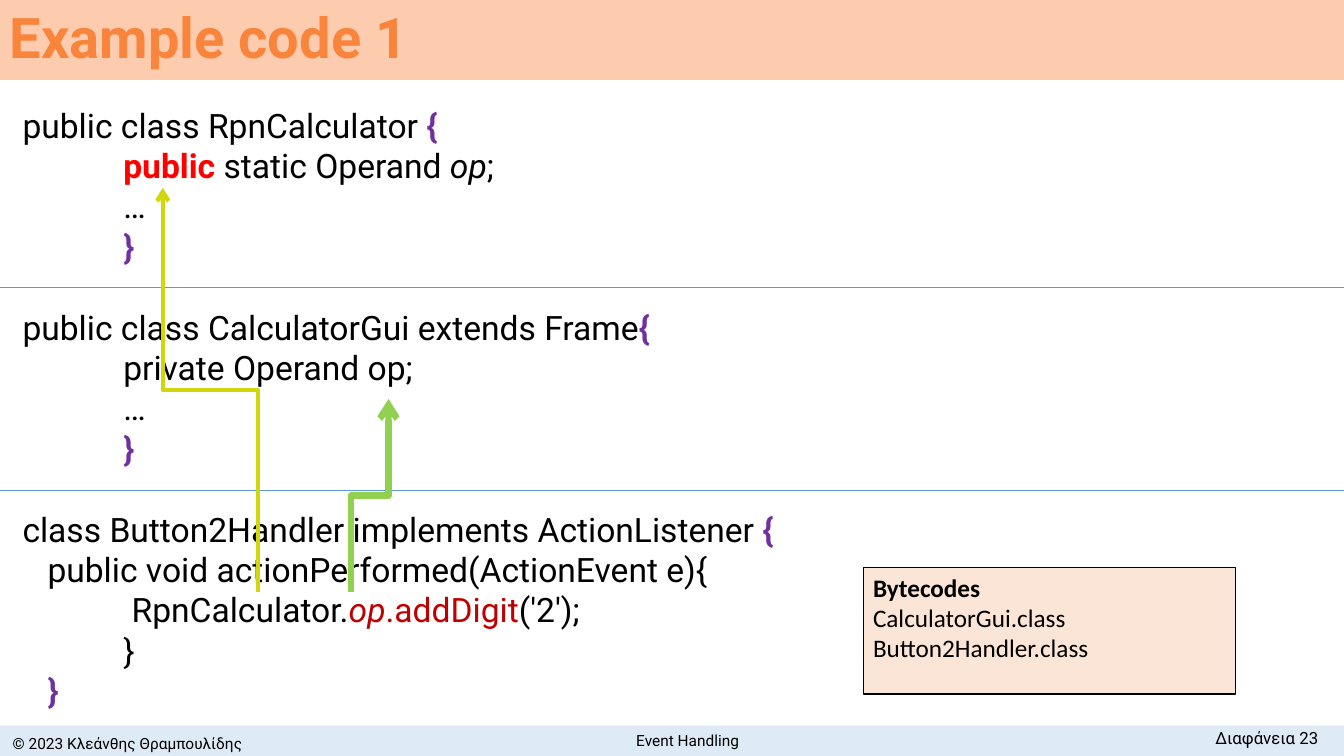
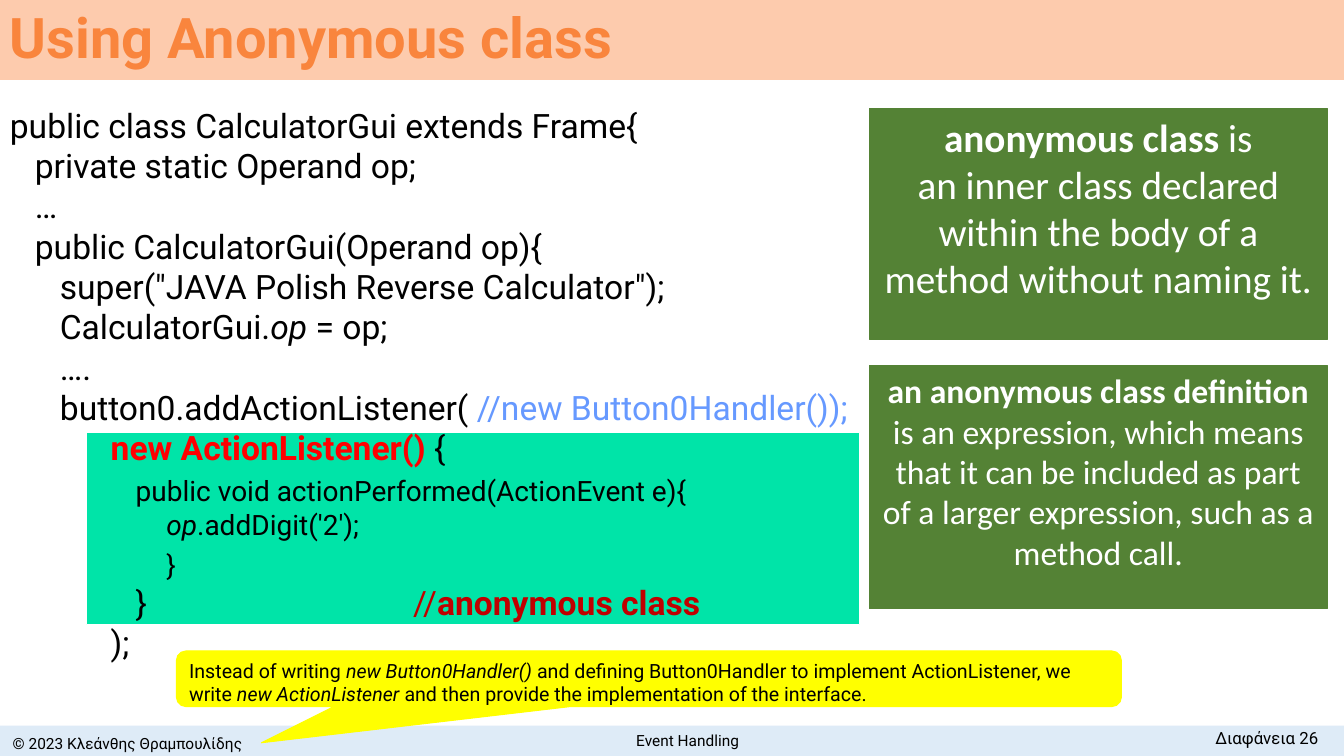
from lxml.etree import SubElement
from pptx import Presentation
from pptx.dml.color import RGBColor
from pptx.enum.shapes import MSO_CONNECTOR as LINK, MSO_SHAPE as SHAPE
from pptx.enum.text import MSO_ANCHOR as ANCHOR, PP_ALIGN as ALIGN
from pptx.oxml.ns import qn
from pptx.util import Pt

PX = 9525
WIDTH, HEIGHT = 1280, 720
COLORS = {
    "black": "000000", "white": "FFFFFF", "title": "F9853D",
    "title_band": "FDCBAD", "footer_band": "DEEBF7", "brace": "7030A0",
    "keyword": "FF0000", "accent": "C00000", "comment": "6699FF",
    "divider": "5B9BD5", "olive": "D2D70D", "lime": "92D050",
    "note": "FBE5D6", "highlight": "00E4A8", "callout": "FFFF00",
    "definition": "548235",
}
BRACE = dict(color="brace", bold=True)
KEYWORD = dict(color="keyword", bold=True)
ITALIC = dict(italic=True)
BOLD = dict(bold=True)
SMALL = dict(size=20)


def emu(*lengths):
    """Turn lengths in px into EMU."""
    return [round(length * PX) for length in lengths]


def rgb(name):
    """Look up a named colour."""
    return RGBColor.from_string(COLORS[name])


def add_span(para, text, size=24, font="Roboto", color="black", bold=False, italic=False):
    """Append formatted text to a paragraph."""
    span = para.add_run()
    span.text = text
    span.font.size = Pt(size)
    span.font.name = font
    span.font.color.rgb = rgb(color)
    span.font.bold = bold
    span.font.italic = italic


def write(shape, *blocks, align=ALIGN.LEFT, anchor=ANCHOR.TOP, spacing=None,
          gap=29, tabs=(), **style):
    """Fill a shape with blocks of lines, parted by a gap in points."""
    frame = shape.text_frame
    frame.word_wrap = True
    frame.vertical_anchor = anchor
    para = None
    for block in blocks:
        for index, line in enumerate(block):
            first = para is None
            para = frame.paragraphs[0] if first else frame.add_paragraph()
            para.alignment = align
            if spacing:
                para.line_spacing = spacing
            if index == 0 and not first:
                para.space_before = Pt(gap)
            if tabs:
                stops = SubElement(para._p.get_or_add_pPr(), qn("a:tabLst"))
                for stop in tabs:
                    SubElement(stops, qn("a:tab"), pos=str(stop * PX), algn="l")
            for part in [line] if isinstance(line, str) else line:
                text, extra = (part, {}) if isinstance(part, str) else part
                add_span(para, text, **{**style, **extra})


def add_panel(page, area, fill, line=None, kind=SHAPE.RECTANGLE):
    """Draw a flat filled shape."""
    panel = page.shapes.add_shape(kind, *emu(*area))
    panel.shadow.inherit = False
    panel.fill.solid()
    panel.fill.fore_color.rgb = rgb(fill)
    if line:
        panel.line.color.rgb = rgb(line)
        panel.line.width = Pt(0.75)
    else:
        panel.line.fill.background()
    return panel


def add_text(page, area, *blocks, **style):
    """Place a text box."""
    write(page.shapes.add_textbox(*emu(*area)), *blocks, **style)


def add_line(page, kind, ends, color, weight):
    """Draw a flat connector."""
    line = page.shapes.add_connector(kind, *emu(*ends))
    line.line.color.rgb = rgb(color)
    line.line.width = Pt(weight)
    SubElement(line._element.spPr, qn("a:effectLst"))
    return line


def add_rising_arrow(page, start, end, color, weight):
    """Draw an elbow arrow that leaves and arrives vertically."""
    (x1, y1), (x2, y2) = start, end
    mid_x, mid_y = (x1 + x2) / 2, (y1 + y2) / 2
    rise, shift = (y1 - y2) / 2, (x2 - x1) / 2
    ends = (mid_x - rise, mid_y - shift, mid_x + rise, mid_y + shift)
    arrow = add_line(page, LINK.ELBOW, ends, color, weight)
    arrow._element.spPr.find(qn("a:xfrm")).set("rot", str(270 * 60000))
    SubElement(arrow.line._get_or_add_ln(), qn("a:tailEnd"), type="arrow")


def add_title(page, area, title):
    """Draw the title band."""
    write(add_panel(page, area, "title_band"), [title], anchor=ANCHOR.MIDDLE,
          spacing=0.9, size=40, color="title", bold=True)


def add_footer(page, area, number):
    """Draw the footer band with its three texts."""
    x, y, width, height = area
    add_panel(page, area, "footer_band")
    middle = dict(align=ALIGN.CENTER, anchor=ANCHOR.MIDDLE, size=11)
    add_text(page, (x, y + 2, 243, height), ["© 2023 Κλεάνθης Θραμπουλίδης"], **middle)
    add_text(page, (x + 334, y, 642, height), ["Event Handling"], **middle)
    add_text(page, (x + width - 213, y - 3, 198, height), [f"Διαφάνεια {number}"],
             align=ALIGN.RIGHT, size=12)


def add_page(deck, title, number):
    """Add a blank slide with title and footer."""
    page = deck.slides.add_slide(deck.slide_layouts[6])
    add_title(page, (0, 0, WIDTH, 76), title)
    add_footer(page, (0, 691, WIDTH, 29), number)
    return page


def add_classes(page, area):
    """Write the three classes, part them and link the uses of op."""
    x, y, _, _ = area
    add_text(
        page, area,
        [["public class RpnCalculator ", ("{", BRACE)],
         ["\t", ("public ", KEYWORD), "static Operand ", ("op", ITALIC), ";"],
         "\t…",
         ["\t", ("}", BRACE)]],
        [["public class CalculatorGui extends Frame", ("{", BRACE)],
         "\tprivate Operand op;",
         "\t…",
         ["\t", ("}", BRACE)]],
        [["class Button2Handler implements ActionListener ", ("{", BRACE)],
         "   public void actionPerformed(ActionEvent e){",
         ["\t RpnCalculator.", ("op", dict(color="accent", italic=True)),
          (".addDigit", dict(color="accent")), "('2');"],
         "\t}",
         ["   ", ("}", BRACE)]],
        tabs=(96,))
    for offset in (179, 372):
        add_line(page, LINK.STRAIGHT, (0, y + offset, WIDTH, y + offset), "divider", 0.5)
    add_rising_arrow(page, (x + 234, y + 469), (x + 143, y + 84), "olive", 3)
    add_rising_arrow(page, (x + 322, y + 469), (x + 358, y + 285), "lime", 4.5)


def add_bytecodes(page, area):
    """Draw the list of compiled files."""
    write(add_panel(page, area, "note", "black"),
          [[("Bytecodes", BOLD)], "CalculatorGui.class", "Button2Handler.class"],
          size=18, font="Calibri")


def add_anonymous_code(page, area):
    """Write the code over the highlighted anonymous class."""
    x, y, _, _ = area
    add_panel(page, (x + 82, y + 317, 737, 183), "highlight", "white")
    add_text(
        page, area,
        ["public class CalculatorGui extends Frame{",
         "   private static Operand op;",
         "   …",
         "   public CalculatorGui(Operand op){",
         "      super(\"JAVA Polish Reverse Calculator\");",
         ["      CalculatorGui.", ("op", ITALIC), " = op;"],
         "      ….",
         ["      button0.addActionListener( ",
          ("//new Button0Handler());", dict(color="comment"))],
         ["\t", ("new ActionListener() ", KEYWORD), "{"],
         ["\t   ", ("public void actionPerformed(ActionEvent e){", SMALL)],
         [("\t        ", SMALL), ("op", dict(size=20, italic=True)),
          (".addDigit('2');", SMALL)],
         ["\t", ("        }", SMALL)],
         ["\t   }\t", ("//", dict(color="accent")),
          ("anonymous class", dict(color="accent", bold=True))],
         "\t);"],
        tabs=(96, 384))


def add_definition(page, area, lines, size):
    """Draw a green definition panel."""
    write(add_panel(page, area, "definition", "definition"), lines,
          align=ALIGN.CENTER, size=size, font="Calibri", color="white")


def add_callout(page, area):
    """Draw the explaining callout."""
    callout = add_panel(page, area, "callout", "callout", SHAPE.ROUNDED_RECTANGULAR_CALLOUT)
    for index, value in enumerate((-0.41, 1.15, 0.17)):
        callout.adjustments[index] = value
    write(callout,
          [["Instead of writing ", ("new Button0Handler() ", ITALIC),
            "and defining Button0Handler to implement ActionListener, we"],
           ["write ", ("new ActionListener ", ITALIC),
            "and then provide the implementation of the interface."]],
          size=14)


def build_example(deck):
    """Build the slide with three classes."""
    page = add_page(deck, "Example code 1", 23)
    add_classes(page, (12, 95, 921, 596))
    add_bytecodes(page, (822, 540, 355, 121))


def build_anonymous(deck):
    """Build the slide about the anonymous class."""
    page = add_page(deck, "Using Anonymous class", 26)
    add_anonymous_code(page, (0, 95, 868, 585))
    add_callout(page, (168, 620, 900, 53))
    add_definition(
        page, (828, 103, 436, 220),
        [[("anonymous class ", BOLD), "is"],
         "an inner class declared within the body of a method without naming it."], 28)
    add_definition(
        page, (828, 348, 436, 232),
        [[("an anonymous class definition ", BOLD),
          "is an expression, which means that it can be included as part of a larger "
          "expression, such as a method call."]], 24)


def main():
    """Build and save the deck."""
    deck = Presentation()
    deck.slide_width, deck.slide_height = emu(WIDTH, HEIGHT)
    build_example(deck)
    build_anonymous(deck)
    deck.save("out.pptx")


if __name__ == "__main__":
    main()
